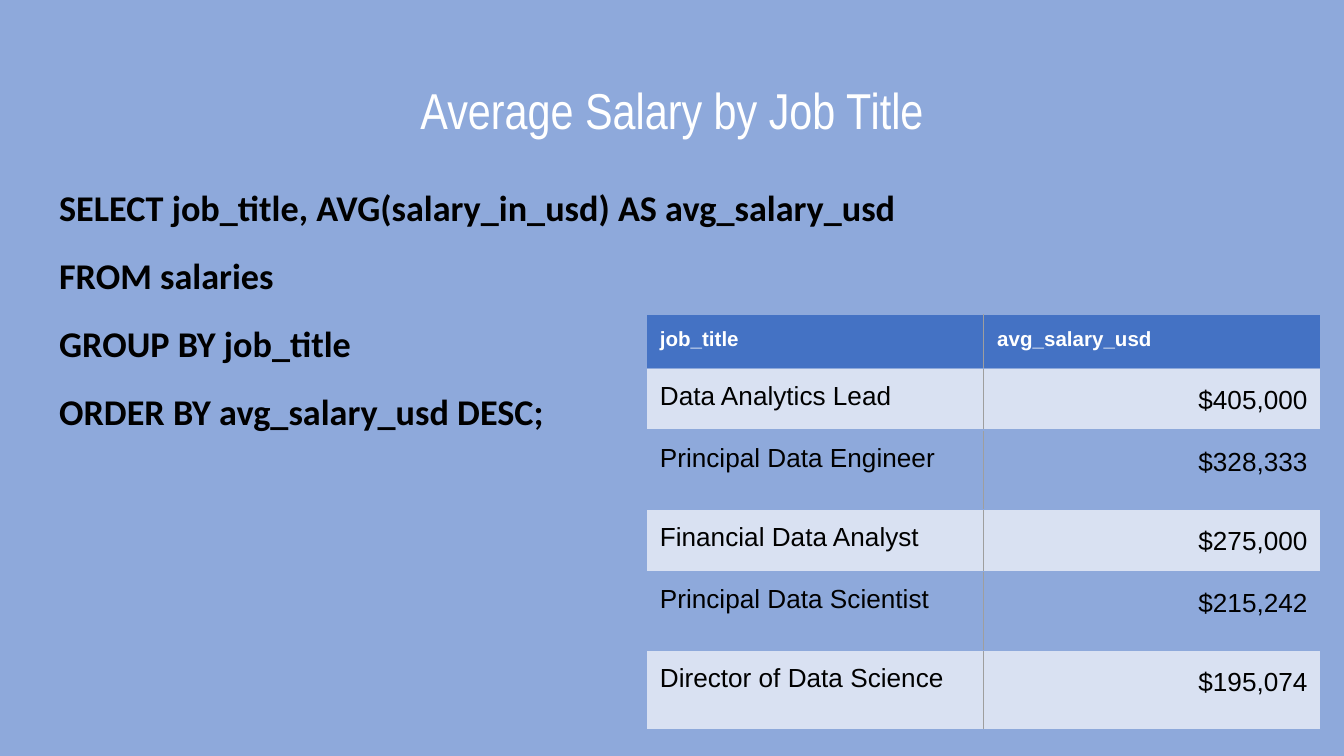
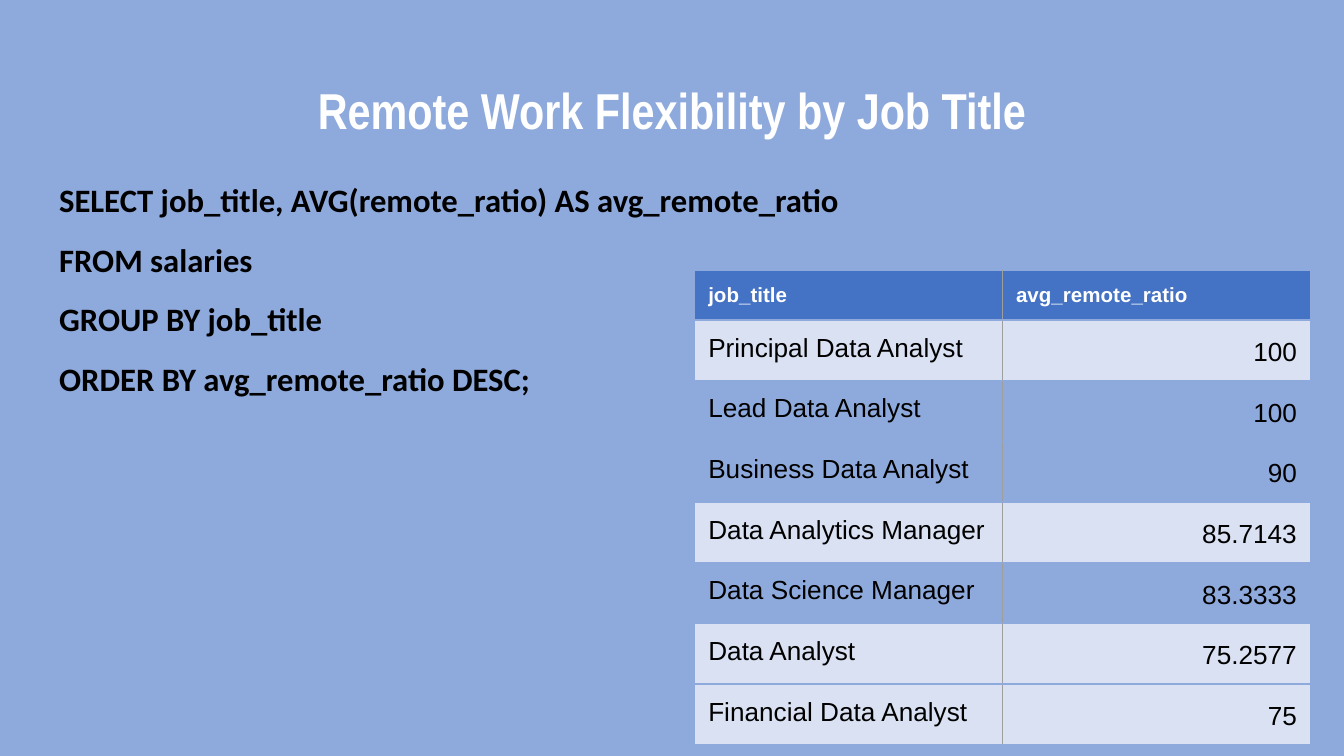
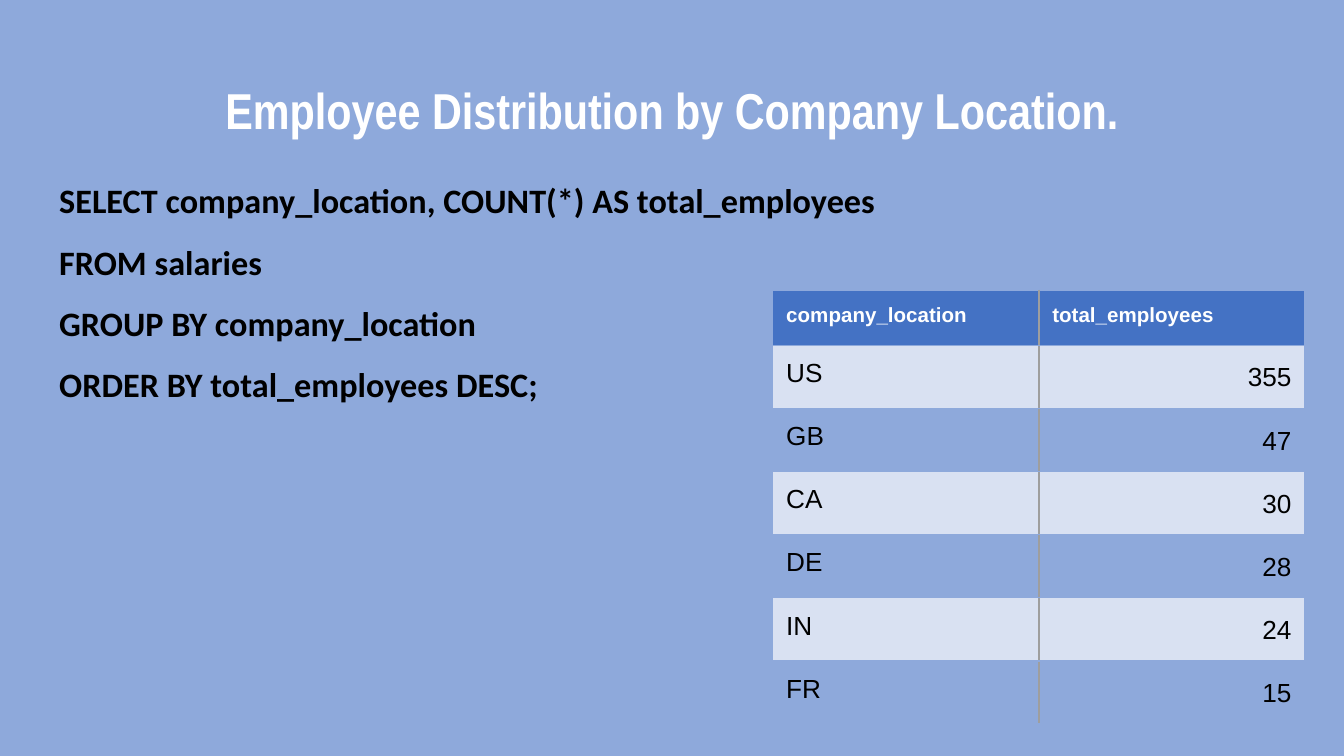
from lxml import etree
from pptx import Presentation, util as u
from pptx.dml.color import RGBColor
from pptx.enum import text
from pptx.oxml.ns import qn

BACKGROUND = "8EA9DB"
HEADER = "4472C4"
SHADED = "D9E1F2"
DIVIDER = "9E9E9E"
WHITE = "FFFFFF"
BLACK = "000000"

TITLE_BOX = (0.34, 0.49, 9.32, 0.63)
MARGIN = 0.1
BORDER_WIDTH = 0.75


def color(value):
    return RGBColor.from_string(value)


def format_font(paragraph, name, size, font_color, bold=False):
    font = paragraph.font
    font.name = name
    font.size = u.Pt(size)
    font.bold = bold
    font.color.rgb = color(font_color)


def set_margins(holder):
    for side in ("left", "top", "right", "bottom"):
        setattr(holder, f"margin_{side}", u.Inches(MARGIN))


def place(shape, box):
    shape.left, shape.top, shape.width, shape.height = map(u.Inches, box)
    frame = shape.text_frame
    frame.word_wrap = True
    frame.auto_size = text.MSO_AUTO_SIZE.NONE
    frame.vertical_anchor = text.MSO_ANCHOR.TOP
    set_margins(frame)
    return frame


def remove_bullet(paragraph):
    properties = paragraph._p.get_or_add_pPr()
    properties.set("marL", "0")
    properties.set("indent", "0")
    etree.SubElement(properties, qn("a:buNone"))


def fill_title(slide, wording, bold):
    frame = place(slide.shapes.title, TITLE_BOX)
    frame.text = wording
    paragraph = frame.paragraphs[0]
    paragraph.alignment = text.PP_ALIGN.CENTER
    format_font(paragraph, "Arial Narrow", 27, WHITE, bold)


def fill_query(slide, lines, box, size, line_spacing):
    frame = place(slide.placeholders[1], box)
    frame.text = "\n".join(lines)
    for number, paragraph in enumerate(frame.paragraphs):
        remove_bullet(paragraph)
        paragraph.alignment = text.PP_ALIGN.LEFT
        paragraph.line_spacing = line_spacing
        paragraph.space_before = u.Pt(12 if number else 0)
        format_font(paragraph, "Calibri", size, BLACK, True)


def draw_borders(cell, is_first):
    left, right = (BACKGROUND, DIVIDER) if is_first else (DIVIDER, BACKGROUND)
    sides = {"L": left, "R": right, "T": BACKGROUND, "B": BACKGROUND}
    properties = cell._tc.get_or_add_tcPr()
    for side, border_color in sides.items():
        line = etree.SubElement(properties, qn(f"a:ln{side}"), w=str(u.Pt(BORDER_WIDTH)))
        fill = etree.SubElement(line, qn("a:solidFill"))
        etree.SubElement(fill, qn("a:srgbClr"), val=border_color)


def fill_cell(cell, wording, row, column, shaded):
    is_header = row == 0
    set_margins(cell)
    draw_borders(cell, column == 0)
    if is_header or shaded:
        cell.fill.solid()
        cell.fill.fore_color.rgb = color(HEADER if is_header else SHADED)
    else:
        cell.fill.background()
    cell.text = wording
    paragraph = cell.text_frame.paragraphs[0]
    if is_header:
        format_font(paragraph, "Arial", 11, WHITE, True)
    else:
        format_font(paragraph, "Arial", 14, BLACK)
        if column == 1:
            paragraph.alignment = text.PP_ALIGN.RIGHT
            paragraph.line_spacing = 1.15


def add_results(slide, records, corner, column_width, row_heights, shaded_rows):
    left, top = corner
    table = slide.shapes.add_table(
        len(records), 2, u.Inches(left), u.Inches(top),
        u.Inches(2 * column_width), u.Inches(sum(row_heights)),
    ).table
    table.horz_banding = False
    for column in table.columns:
        column.width = u.Inches(column_width)
    for row, (record, height) in enumerate(zip(records, row_heights)):
        table.rows[row].height = u.Inches(height)
        for column, wording in enumerate(record):
            fill_cell(table.cell(row, column), wording, row, column, row in shaded_rows)


def add_query_slide(presentation, title, query, results, bold_title=True):
    slide = presentation.slides.add_slide(presentation.slide_layouts[1])
    fill_title(slide, title, bold_title)
    fill_query(slide, **query)
    add_results(slide, **results)


def main():
    presentation = Presentation()
    presentation.slide_width = u.Inches(10)
    presentation.slide_height = u.Inches(10 * 9 / 16)
    background = presentation.slide_master.background.fill
    background.solid()
    background.fore_color.rgb = color(BACKGROUND)

    add_query_slide(
        presentation,
        "Average Salary by Job Title",
        query=dict(
            lines=[
                "SELECT job_title, AVG(salary_in_usd) AS avg_salary_usd",
                "FROM salaries",
                "GROUP BY job_title",
                "ORDER BY avg_salary_usd DESC;",
            ],
            box=(0.34, 1.26, 7.11, 2.47), size=19.4, line_spacing=1.05,
        ),
        results=dict(
            records=[
                ("job_title", "avg_salary_usd"),
                ("Data Analytics Lead", "$405,000"),
                ("Principal Data Engineer", "$328,333"),
                ("Financial Data Analyst", "$275,000"),
                ("Principal Data Scientist", "$215,242"),
                ("Director of Data Science", "$195,074"),
            ],
            corner=(4.81, 2.34), column_width=2.51,
            row_heights=[0.4, 0.46, 0.59, 0.46, 0.59, 0.59],
            shaded_rows={1, 3, 5},
        ),
        bold_title=False,
    )
    add_query_slide(
        presentation,
        "Remote Work Flexibility by Job Title",
        query=dict(
            lines=[
                "SELECT job_title, AVG(remote_ratio) AS avg_remote_ratio",
                "FROM salaries",
                "GROUP BY job_title",
                "ORDER BY avg_remote_ratio DESC;",
            ],
            box=(0.34, 1.26, 6.32, 2.03), size=17.45, line_spacing=0.95,
        ),
        results=dict(
            records=[
                ("job_title", "avg_remote_ratio"),
                ("Principal Data Analyst", "100"),
                ("Lead Data Analyst", "100"),
                ("Business Data Analyst", "90"),
                ("Data Analytics Manager", "85.7143"),
                ("Data Science Manager", "83.3333"),
                ("Data Analyst", "75.2577"),
                ("Financial Data Analyst", "75"),
            ],
            corner=(5.17, 2.01), column_width=2.29,
            row_heights=[0.25] * 8,
            shaded_rows={1, 4, 6, 7},
        ),
    )
    add_query_slide(
        presentation,
        "Employee Distribution by Company Location.",
        query=dict(
            lines=[
                "SELECT company_location, COUNT(*) AS total_employees",
                "FROM salaries",
                "GROUP BY company_location",
                "ORDER BY total_employees DESC;",
            ],
            box=(0.34, 1.26, 7.69, 2.16), size=18.3, line_spacing=0.95,
        ),
        results=dict(
            records=[
                ("company_location", "total_employees"),
                ("US", "355"),
                ("GB", "47"),
                ("CA", "30"),
                ("DE", "28"),
                ("IN", "24"),
                ("FR", "15"),
            ],
            corner=(5.75, 2.16), column_width=1.98,
            row_heights=[0.41] + [0.47] * 6,
            shaded_rows={1, 3, 5},
        ),
    )
    presentation.save("out.pptx")


if __name__ == "__main__":
    main()
